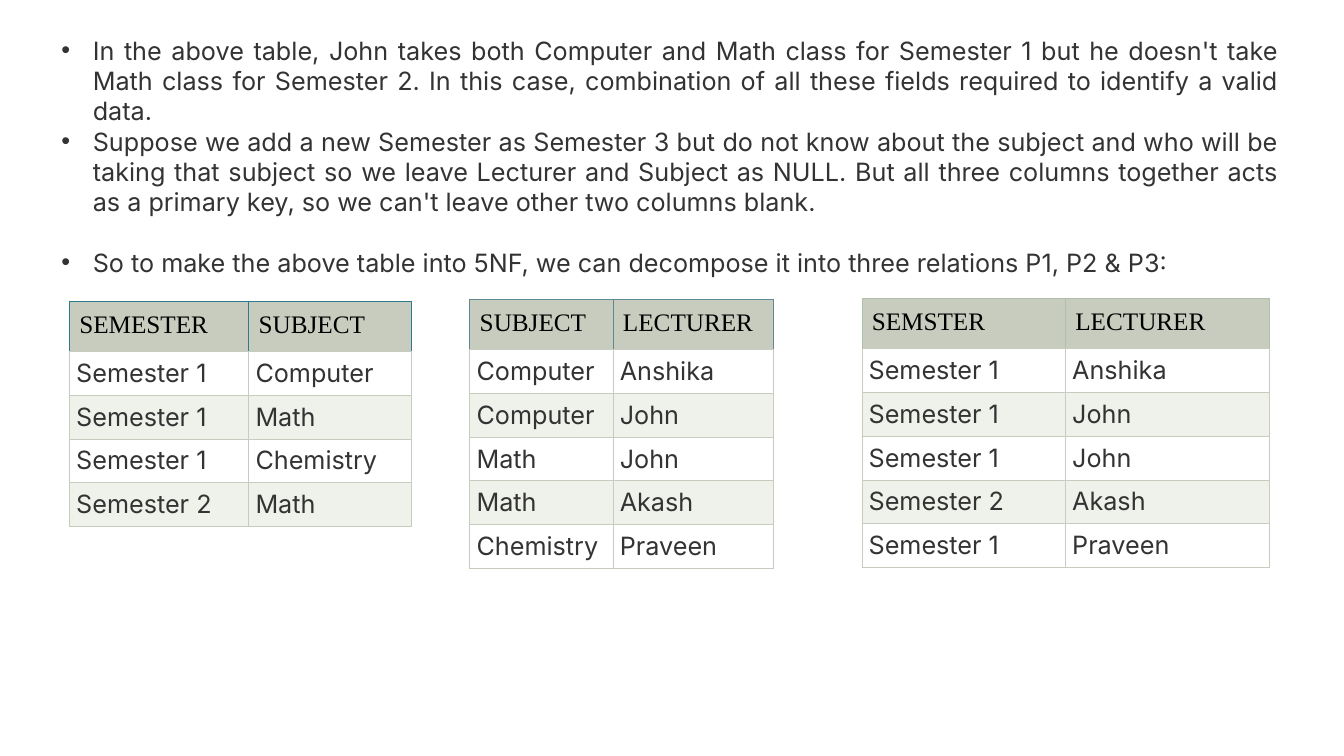
from dataclasses import dataclass

from lxml import etree
from pptx import Presentation
from pptx.dml.color import RGBColor
from pptx.enum.text import MSO_AUTO_SIZE, PP_ALIGN
from pptx.oxml.ns import qn
from pptx.util import Cm, Pt

JUSTIFY = PP_ALIGN.JUSTIFY
LEFT = PP_ALIGN.LEFT
FIT_SHAPE = MSO_AUTO_SIZE.SHAPE_TO_FIT_TEXT


@dataclass(frozen=True)
class Theme:
    body_font: str = "Inter"
    head_font: str = "Times New Roman"
    size: float = 18
    text: str = "333333"
    head_text: str = "000000"
    head_fill: str = "C7CCBE"
    row_fills: tuple = ("FFFFFF", "EFF1EB")
    border: str = "C7CCBE"
    border_width: float = 0.6


THEME = Theme()

# Each bullet: text, space before in points
BULLETS = [
    ("In the above table, John takes both Computer and Math class for Semester 1 "
     "but he doesn't take Math class for Semester 2. In this case, combination of "
     "all these fields required to identify a valid data.", 0),
    ("Suppose we add a new Semester as Semester 3 but do not know about the subject "
     "and who will be taking that subject so we leave Lecturer and Subject as NULL. "
     "But all three columns together acts as a primary key, so we can't leave other "
     "two columns blank.", 0),
    ("So to make the above table into 5NF, we can decompose it into three relations "
     "P1, P2 & P3:", 21.8),
]

# Each relation: left, top, column widths (cm), header border, rows
RELATIONS = [
    (1.75, 7.59, (4.52, 4.09), "307A8E", [
        ("SEMESTER", "SUBJECT"),
        ("Semester 1", "Computer"),
        ("Semester 1", "Math"),
        ("Semester 1", "Chemistry"),
        ("Semester 2", "Math"),
    ]),
    (11.84, 7.54, (3.61, 4.04), "608892", [
        ("SUBJECT", "LECTURER"),
        ("Computer", "Anshika"),
        ("Computer", "John"),
        ("Math", "John"),
        ("Math", "Akash"),
        ("Chemistry", "Praveen"),
    ]),
    (21.72, 7.52, (5.13, 5.13), "B0C1A9", [
        ("SEMSTER", "LECTURER"),
        ("Semester 1", "Anshika"),
        ("Semester 1", "John"),
        ("Semester 1", "John"),
        ("Semester 2", "Akash"),
        ("Semester 1", "Praveen"),
    ]),
]
HEAD_HEIGHT, ROW_HEIGHT = 1.26, 1.1
HEAD_INSET, ROW_INSET = 0.25, 0.17


def style_paragraph(p, font, color, align):
    p.alignment = align
    p.font.name = font
    p.font.size = Pt(THEME.size)
    p.font.bold = False
    p.font.color.rgb = RGBColor.from_string(color)


def add_bullets(slide, left, top, width, height):
    tf = slide.shapes.add_textbox(Cm(left), Cm(top), Cm(width), Cm(height)).text_frame
    tf.word_wrap = True
    tf.auto_size = FIT_SHAPE
    for i, (text, space) in enumerate(BULLETS):
        p = tf.paragraphs[0] if i == 0 else tf.add_paragraph()
        p.text = text
        p.space_before = Pt(space)
        style_paragraph(p, THEME.body_font, THEME.text, JUSTIFY)
        # Hanging bullet
        pPr = p._p.get_or_add_pPr()
        pPr.set("marL", str(Cm(0.79)))
        pPr.set("indent", str(Cm(-0.79)))
        mark_font = etree.Element(qn("a:buFont"), typeface="Arial")
        mark = etree.Element(qn("a:buChar"), char="•")
        default_run = pPr.find(qn("a:defRPr"))
        default_run.addprevious(mark_font)
        default_run.addprevious(mark)


def set_borders(cell, side_color, bottom_color):
    tcPr = cell._tc.get_or_add_tcPr()
    for side in "LRTB":
        ln = etree.SubElement(tcPr, qn(f"a:ln{side}"), w=str(Pt(THEME.border_width)))
        fill = etree.SubElement(ln, qn("a:solidFill"))
        color = bottom_color if side == "B" else side_color
        etree.SubElement(fill, qn("a:srgbClr"), val=color)


def fill_cell(cell, text, fill, font, color, align, inset, border):
    set_borders(cell, border, THEME.border)
    cell.fill.solid()
    cell.fill.fore_color.rgb = RGBColor.from_string(fill)
    cell.margin_left = cell.margin_right = Cm(inset)
    cell.margin_top = cell.margin_bottom = Cm(inset)
    p = cell.text_frame.paragraphs[0]
    p.text = text
    style_paragraph(p, font, color, align)


def add_relation(slide, left, top, widths, head_border, rows):
    height = HEAD_HEIGHT + ROW_HEIGHT * (len(rows) - 1)
    table = slide.shapes.add_table(len(rows), len(widths), Cm(left), Cm(top),
                                   Cm(sum(widths)), Cm(height)).table
    table.first_row = table.horz_banding = False
    for column, width in zip(table.columns, widths):
        column.width = Cm(width)
    for i, row in enumerate(rows):
        table.rows[i].height = Cm(ROW_HEIGHT if i else HEAD_HEIGHT)
        for j, text in enumerate(row):
            cell = table.cell(i, j)
            if i == 0:
                fill_cell(cell, text, THEME.head_fill, THEME.head_font,
                          THEME.head_text, LEFT, HEAD_INSET, head_border)
            else:
                fill_cell(cell, text, THEME.row_fills[(i - 1) % 2], THEME.body_font,
                          THEME.text, JUSTIFY, ROW_INSET, THEME.border)


def main():
    prs = Presentation()
    prs.slide_width, prs.slide_height = Cm(33.87), Cm(19.05)
    slide = prs.slides.add_slide(prs.slide_layouts[6])

    # Explanation above the tables
    add_bullets(slide, 1.3, 0.76, 31.17, 5.64)

    # Decomposed relations P1, P2 and P3
    for relation in RELATIONS:
        add_relation(slide, *relation)

    prs.save("out.pptx")


if __name__ == "__main__":
    main()
